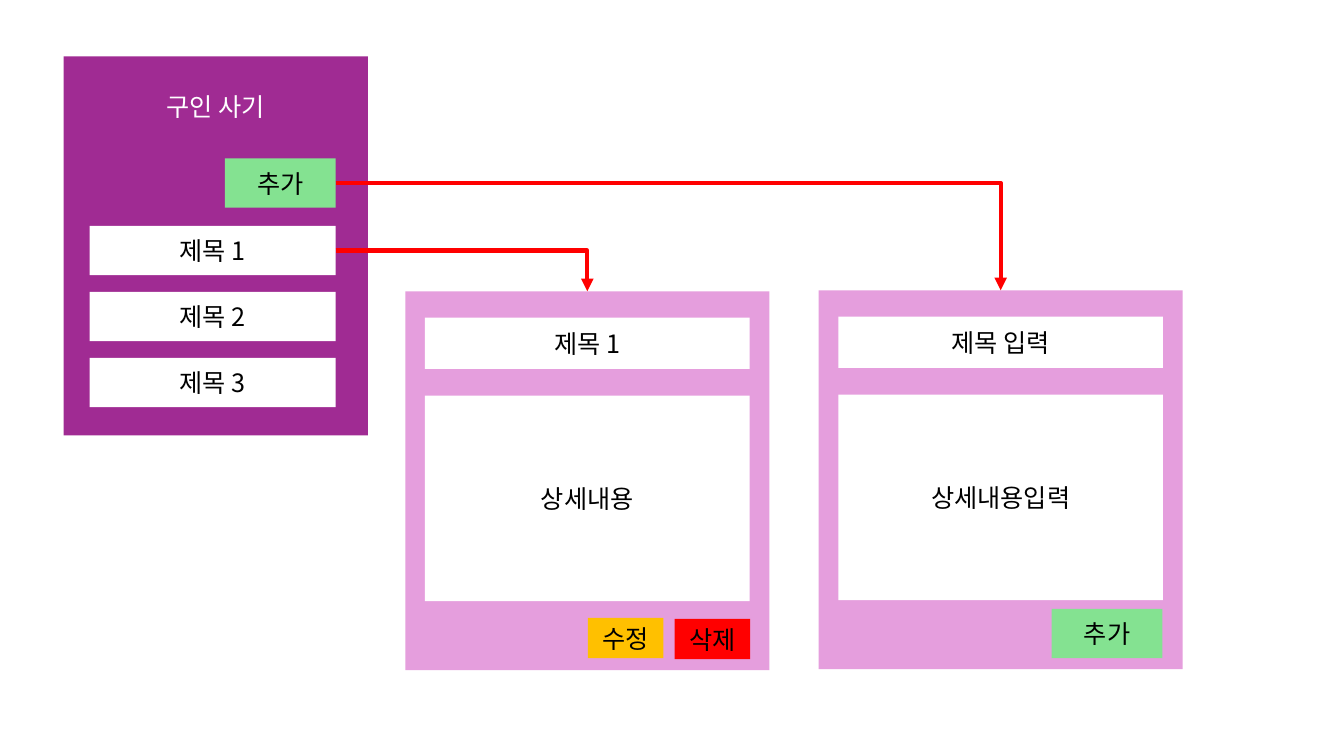
from lxml.etree import SubElement
from pptx import Presentation
from pptx.dml.color import RGBColor
from pptx.enum.shapes import MSO_CONNECTOR, MSO_SHAPE
from pptx.enum.text import MSO_ANCHOR, MSO_AUTO_SIZE, PP_ALIGN
from pptx.oxml.ns import qn
from pptx.util import Inches, Pt

PURPLE = RGBColor(0xA0, 0x2B, 0x93)
PINK = RGBColor(0xE5, 0x9E, 0xDD)
GREEN = RGBColor(0x84, 0xE2, 0x91)
AMBER = RGBColor(0xFF, 0xC0, 0x00)
RED = RGBColor(0xFF, 0x00, 0x00)
WHITE = RGBColor(0xFF, 0xFF, 0xFF)
BLACK = RGBColor(0x00, 0x00, 0x00)
FONT = "Noto Sans CJK KR"
FRAME = {"word_wrap": True, "auto_size": MSO_AUTO_SIZE.NONE,
         "vertical_anchor": MSO_ANCHOR.MIDDLE}
PARAGRAPH = {"alignment": PP_ALIGN.CENTER, "line_spacing": 1.0}
TEXT = {"name": FONT, "size": Pt(18), "bold": False}


def set_all(obj, values):
    """Set each attribute of obj from a dict."""
    for name, value in values.items():
        setattr(obj, name, value)


def write(sp, text, color=BLACK, **frame):
    """Write one centred line of text into a shape."""
    tf = sp.text_frame
    set_all(tf, {**FRAME, **frame})
    p = tf.paragraphs[0]
    set_all(p, PARAGRAPH)
    r = p.add_run()
    r.text = text
    r.font.color.rgb = color
    set_all(r.font, TEXT)
    SubElement(r.font._element, qn("a:ea")).set("typeface", FONT)


def add_box(s, x, y, w, h, fill, text=""):
    """Add a filled rectangle without outline, with optional text."""
    sp = s.shapes.add_shape(MSO_SHAPE.RECTANGLE, Inches(x), Inches(y), Inches(w), Inches(h))
    sp.shadow.inherit = False
    sp.fill.solid()
    sp.fill.fore_color.rgb = fill
    sp.line.fill.background()
    if text:
        write(sp, text)
    return sp


def add_list_panel(s, x, y, w, h):
    """Place the titled list and return its add button and first row."""
    title = s.shapes.title
    set_all(title, {"left": Inches(x), "top": Inches(y),
                    "width": Inches(w), "height": Inches(h)})
    title.fill.solid()
    title.fill.fore_color.rgb = PURPLE
    write(title, "구인 사기", WHITE, vertical_anchor=MSO_ANCHOR.TOP, margin_top=Inches(0.35))
    rows = [add_box(s, x + 0.26, y + 1.68 + i * 0.655, 2.44, 0.49, WHITE, f"제목 {i + 1}")
            for i in range(3)]
    button = add_box(s, x + 1.6, y + 1.01, 1.1, 0.49, GREEN, "추가")
    return button, rows[0]


def add_detail_panel(s, x, y, w, h, heading, body, buttons):
    """Place a panel with a heading, a body and buttons; return the panel."""
    panel = add_box(s, x, y, w, h, PINK)
    add_box(s, x + 0.195, y + 0.26, w - 0.39, 0.51, WHITE, heading)
    add_box(s, x + 0.195, y + 1.035, w - 0.39, 2.04, WHITE, body)
    for dx, dy, bw, bh, fill, text in buttons:
        add_box(s, x + dx, y + dy, bw, bh, fill, text)
    return panel


def add_arrow(s, start, end):
    """Join the right side of start to the top of end with a bent arrow."""
    line = s.shapes.add_connector(MSO_CONNECTOR.ELBOW, 0, 0, 0, 0)
    line.begin_connect(start, 3)
    line.end_connect(end, 0)
    line.line.color.rgb = RED
    line.line.width = Pt(3)
    spPr = line._element.spPr
    spPr.find(qn("a:prstGeom")).set("prst", "bentConnector2")
    SubElement(spPr.find(qn("a:ln")), qn("a:tailEnd")).set("type", "triangle")
    SubElement(spPr, qn("a:effectLst"))


def main():
    """Build and save the slide."""
    prs = Presentation()
    prs.slide_width, prs.slide_height = Inches(13.33), Inches(7.5)
    s = prs.slides.add_slide(prs.slide_layouts[5])
    button, first_row = add_list_panel(s, 0.63, 0.56, 3.02, 3.76)
    view = add_detail_panel(s, 4.02, 2.89, 3.61, 3.76, "제목 1", "상세내용",
                            [(2.67, 3.25, 0.75, 0.4, RED, "삭제"),
                             (1.81, 3.24, 0.75, 0.4, AMBER, "수정")])
    entry = add_detail_panel(s, 8.12, 2.88, 3.61, 3.76, "제목 입력", "상세내용입력",
                             [(2.31, 3.16, 1.1, 0.49, GREEN, "추가")])
    add_arrow(s, first_row, view)
    add_arrow(s, button, entry)
    prs.save("out.pptx")


if __name__ == "__main__":
    main()
